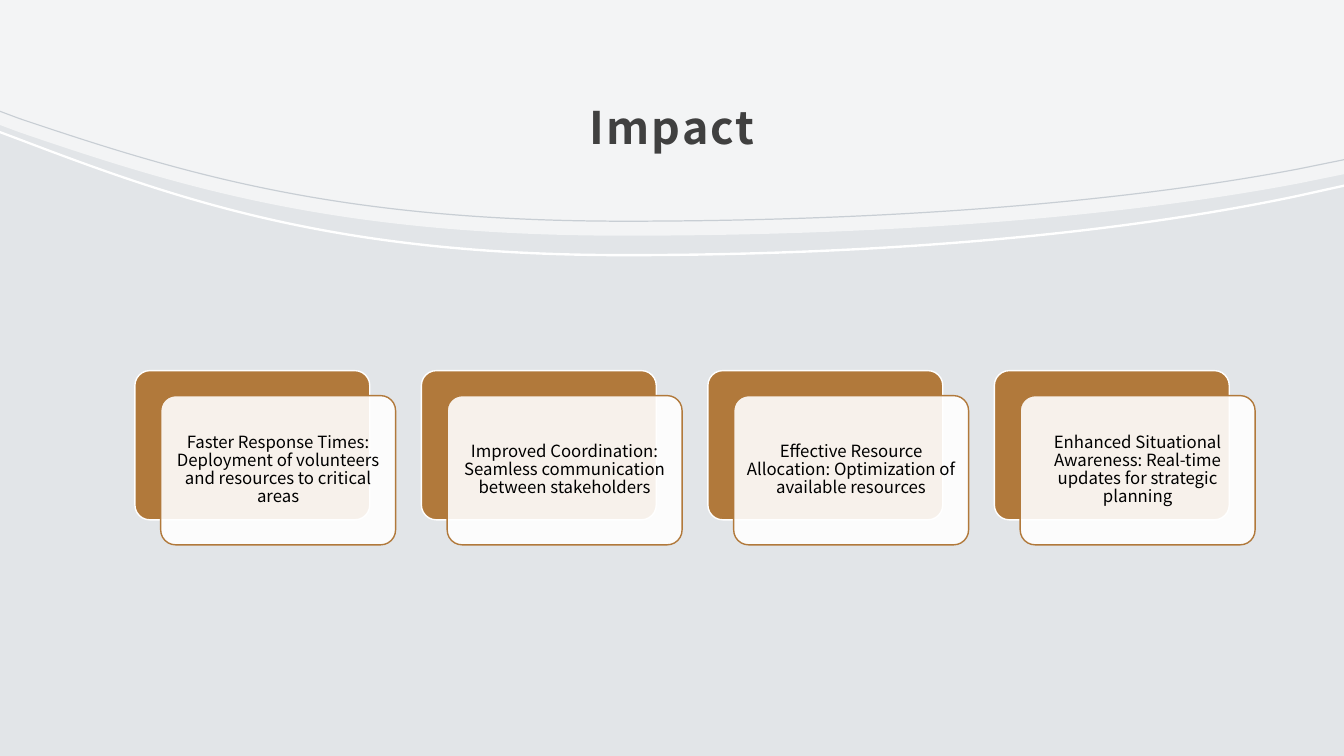
import pptx
import pptx.util
import pptx.dml.color
import pptx.enum.shapes
import pptx.enum.text
from dataclasses import dataclass
from lxml import etree

Cm, Pt = pptx.util.Cm, pptx.util.Pt
RGB = pptx.dml.color.RGBColor.from_string
ROUND = pptx.enum.shapes.MSO_SHAPE.ROUNDED_RECTANGLE

TITLE = "Impact"
CARDS = [
    "Faster Response Times: Deployment of volunteers and resources to critical areas",
    "Improved Coordination: Seamless communication between stakeholders",
    "Effective Resource Allocation: Optimization of available resources",
    "Enhanced Situational Awareness: Real-time updates for strategic planning",
]
PANEL = (3.15, 3.33, 4.72, 5.94, 5.49, 4.62, 4.39)
STRIPE = (3.3, 3.48, 5.03, 6.4, 5.87, 4.9, 4.65)
HAIR = (2.79, 2.97, 4.34, 5.56, 5.11, 4.24, 4.01)
WIDE, HIGH = 33.87, 19.05
LEFT, TOP, STEP = 3.4, 9.34, 7.22
CARD = (5.92, 3.76)
SHIFT = (0.65, 0.63)
INSET = 0.11


@dataclass(frozen=True)
class Theme:
    font: str = "Noto Sans CJK JP"
    back: str = "E2E5E8"
    white: str = "FFFFFF"
    hair: str = "C8CED4"
    brown: str = "B1793B"
    head: str = "404040"
    ink: str = "000000"
    big: int = 32
    small: int = 12


THEME = Theme()


def paint(shape, color, alpha=100):
    shape.shadow.inherit = False
    shape.fill.solid()
    shape.fill.fore_color.rgb = RGB(color)
    if alpha < 100:
        tone = shape.fill._xPr.find(".//" + pptx.oxml.ns.qn("a:srgbClr"))
        etree.SubElement(tone, pptx.oxml.ns.qn("a:alpha"), val=str(alpha * 1000))


def curve(edge):
    start, near, dip, low, rise, far, end = edge
    return [
        (0, start), (0.48, near), (4.55, dip), (8.46, low), (15.75, low),
        (22.23, low), (28.17, rise), (32.74, far), (WIDE, end),
    ]


def bend(shape, first):
    lines = shape._element.findall(".//" + pptx.oxml.ns.qn("a:lnTo"))
    for at in (first + 1, first + 4):
        arc = etree.Element(pptx.oxml.ns.qn("a:cubicBezTo"))
        lines[at].addprevious(arc)
        for line in lines[at:at + 3]:
            arc.append(line[0])
            line.getparent().remove(line)


def band(slide, upper, lower, color, alpha=100):
    ring = [(Cm(x), Cm(y)) for x, y in upper + lower[::-1]]
    pen = slide.shapes.build_freeform(*ring[0])
    pen.add_line_segments(ring[1:], close=True)
    shape = pen.convert_to_shape()
    bend(shape, len(upper))
    if len(upper) == len(lower):
        bend(shape, 0)
    paint(shape, color, alpha)
    shape.line.fill.background()


def thread(slide, edge, thick, color):
    upper = curve(edge)
    band(slide, upper, [(x, y + thick) for x, y in upper], color)


def write(shape, text, size, color, space, pads, bold=False):
    frame = shape.text_frame
    frame.text = text
    frame.word_wrap = True
    frame.auto_size = pptx.enum.text.MSO_AUTO_SIZE.NONE
    frame.vertical_anchor = pptx.enum.text.MSO_ANCHOR.MIDDLE
    frame.margin_left, frame.margin_top, frame.margin_right, frame.margin_bottom = map(Cm, pads)
    line = frame.paragraphs[0]
    line.alignment = pptx.enum.text.PP_ALIGN.CENTER
    line.line_spacing = space
    font = line.runs[0].font
    font.name, font.size, font.bold = THEME.font, Pt(size), bold
    font.color.rgb = RGB(color)
    return line.runs[0]


def head(slide):
    title = slide.shapes.title
    title.left, title.top, title.width, title.height = map(Cm, (3.39, 1.5, 27.1, 2.9))
    run = write(title, TITLE, THEME.big, THEME.head, 1.3, (0.3, 0.3, 0.3, 0.25), True)
    run._r.get_or_add_rPr().set("spc", "150")
    slide.shapes._spTree.append(title._element)


def plate(group, x, y, fill, edge, alpha=100):
    shape = group.shapes.add_shape(ROUND, *map(Cm, (x, y, *CARD)))
    shape.adjustments[0] = 0.1
    paint(shape, fill, alpha)
    shape.line.color.rgb = RGB(edge)
    shape.line.width = Pt(1)


def card(group, x, text):
    plate(group, x, TOP, THEME.brown, THEME.white)
    x, y = x + SHIFT[0], TOP + SHIFT[1]
    plate(group, x, y, THEME.white, THEME.brown, 90)
    size = [side - 2 * INSET for side in CARD]
    label = group.shapes.add_textbox(*map(Cm, (x + INSET, y + INSET, *size)))
    write(label, text, THEME.small, THEME.ink, 0.9, (0.13,) * 4)


def main():
    """Build the impact slide with its curved header and four cards."""
    deck = pptx.Presentation()
    deck.slide_width, deck.slide_height = Cm(WIDE), Cm(HIGH)
    slide = deck.slides.add_slide(deck.slide_layouts[5])
    slide.background.fill.solid()
    slide.background.fill.fore_color.rgb = RGB(THEME.back)

    band(slide, [(0, 0), (WIDE, 0)], curve(PANEL), THEME.white, 60)
    thread(slide, STRIPE, 0.06, THEME.white)
    head(slide)
    thread(slide, HAIR, 0.03, THEME.hair)

    group = slide.shapes.add_group_shape()
    for i, text in enumerate(CARDS):
        card(group, LEFT + i * STEP, text)

    deck.save("out.pptx")


if __name__ == "__main__":
    main()
